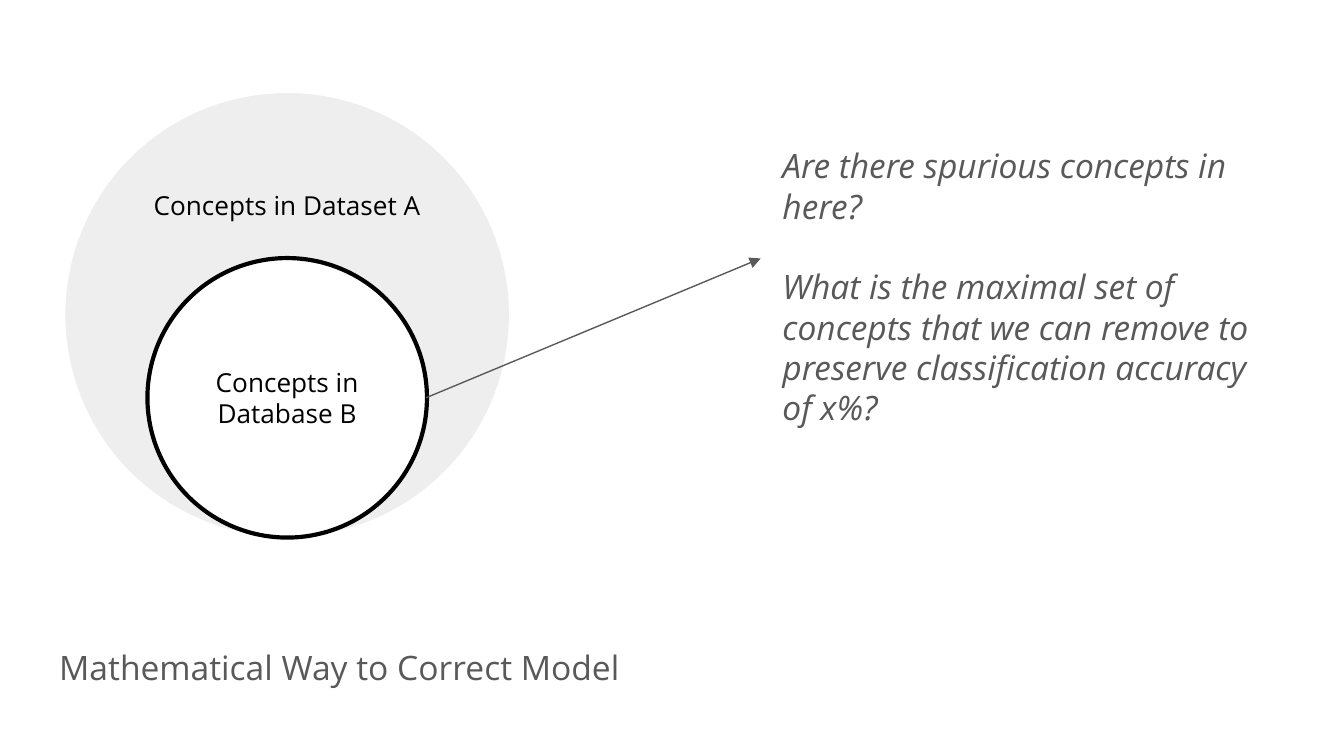
import collections

import pptx
import pptx.dml.color
import pptx.enum.shapes
import pptx.enum.text
import pptx.oxml
import pptx.oxml.ns
import pptx.util

Theme = collections.namedtuple("Theme", "font ink gray pale white heading label")
theme = Theme(
    font="Open Sans",
    ink=pptx.dml.color.RGBColor.from_string("000000"),
    gray=pptx.dml.color.RGBColor.from_string("595959"),
    pale=pptx.dml.color.RGBColor.from_string("EEEEEE"),
    white=pptx.dml.color.RGBColor.from_string("FFFFFF"),
    heading=pptx.util.Pt(18),
    label=pptx.util.Pt(14),
)

deck = pptx.Presentation()
deck.slide_width = pptx.util.Inches(10)
deck.slide_height = deck.slide_width * 9 // 16
slide = deck.slides.add_slide(deck.slide_layouts[5])
cell = deck.slide_width / 100


def grid(*cells):
    return [round(count * cell) for count in cells]


def write(frame, lines, size, color, align, anchor, italic=None):
    frame.word_wrap = True
    frame.auto_size = pptx.enum.text.MSO_AUTO_SIZE.NONE
    frame.vertical_anchor = anchor
    frame.margin_left, frame.margin_top, frame.margin_right, frame.margin_bottom = grid(1, 1, 1, 1)
    frame.text = "\n".join(lines)
    for paragraph in frame.paragraphs:
        paragraph.alignment = align
        paragraph.font.name = theme.font
        paragraph.font.size = size
        paragraph.font.color.rgb = color
        paragraph.font.italic = italic


left, center = pptx.enum.text.PP_ALIGN.LEFT, pptx.enum.text.PP_ALIGN.CENTER
top, middle = pptx.enum.text.MSO_ANCHOR.TOP, pptx.enum.text.MSO_ANCHOR.MIDDLE

heading = slide.shapes.title
heading.left, heading.top, heading.width, heading.height = grid(3.4, 46.3, 65.6, 6.6)
write(heading.text_frame, ["Mathematical Way to Correct Model"],
      theme.heading, theme.gray, left, middle)

sets = [
    ("Concepts in Dataset A", (4.87, 6.93, 33, 33), theme.pale, None, top),
    ("Concepts in Database B", (10.97, 19.2, 20.8, 20.8), theme.white, theme.ink, middle),
]
for label, box, fill, outline, anchor in sets:
    concepts = slide.shapes.add_shape(pptx.enum.shapes.MSO_SHAPE.OVAL, *grid(*box))
    concepts.shadow.inherit = False
    concepts.fill.solid()
    concepts.fill.fore_color.rgb = fill
    if outline is None:
        concepts.line.fill.background()
    else:
        concepts.line.color.rgb = outline
        concepts.line.width = pptx.util.Pt(2.25)
    write(concepts.text_frame, [label], theme.label, theme.ink, center, anchor)
    if anchor == top:
        concepts.text_frame.margin_top = grid(2.35)[0]

pointer = slide.shapes.add_connector(
    pptx.enum.shapes.MSO_CONNECTOR.STRAIGHT, *grid(31.7, 29.6, 56.6, 19.23))
pointer.line.color.rgb = theme.gray
pointer.line.width = pptx.util.Pt(0.75)
arrowhead = pptx.oxml.parse_xml(
    f'<a:tailEnd {pptx.oxml.ns.nsdecls("a")} type="triangle"/>')
pointer.line._get_or_add_ln().append(arrowhead)
pointer._element.spPr.append(
    pptx.oxml.parse_xml(f'<a:effectLst {pptx.oxml.ns.nsdecls("a")}/>'))

questions = slide.shapes.add_textbox(*grid(57.24, 9.8, 38.4, 23.2))
write(questions.text_frame, [
    "Are there spurious concepts in here?",
    "What is the maximal set of concepts that we can remove to preserve "
    "classification accuracy of x%?",
], theme.heading, theme.gray, left, top, italic=True)
questions.text_frame.paragraphs[1].space_before = pptx.util.Pt(21.6)

deck.save("out.pptx")
